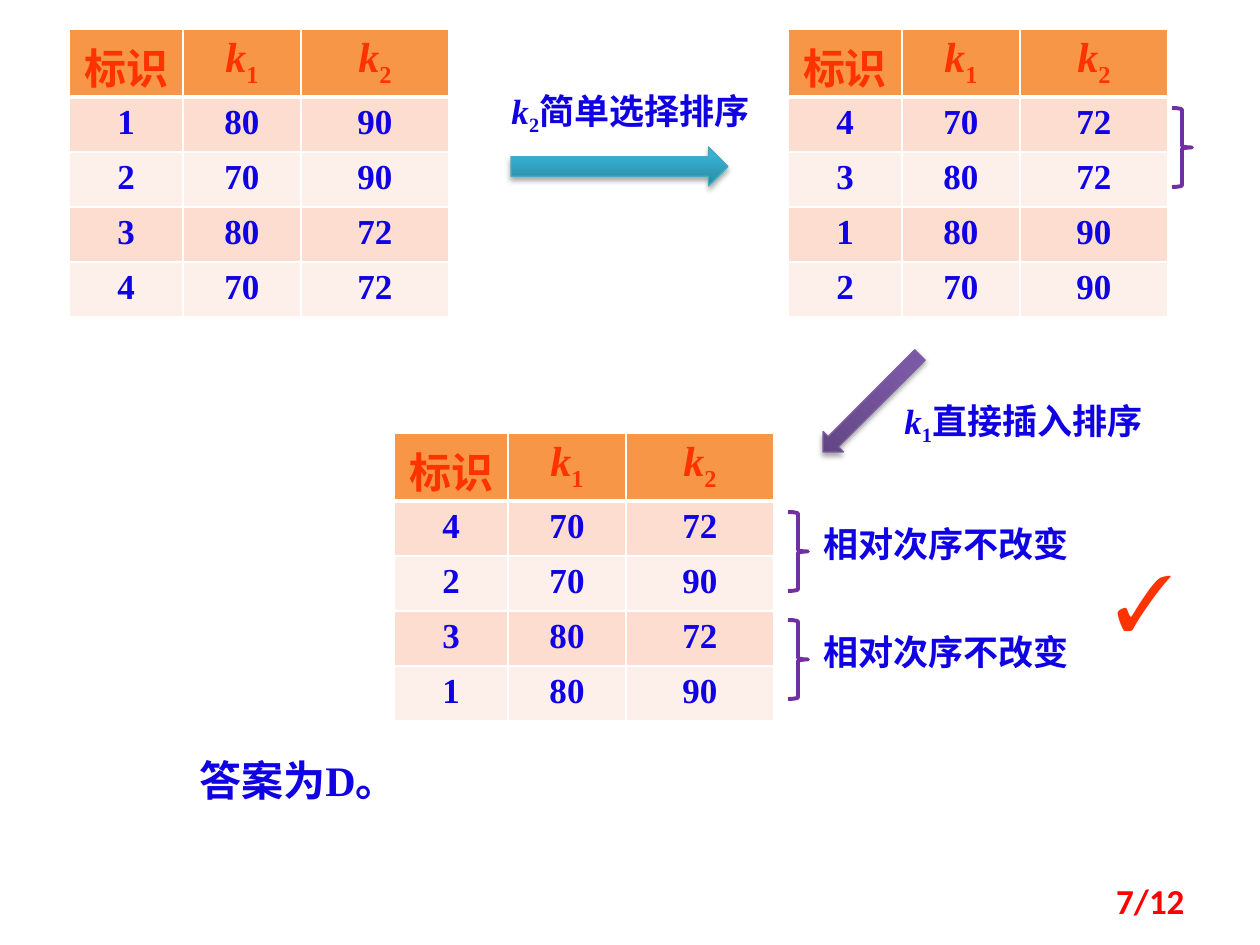
from lxml.etree import SubElement
from pptx import Presentation
from pptx.dml.color import RGBColor
from pptx.enum.shapes import MSO_SHAPE as SHAPE
from pptx.enum.text import MSO_ANCHOR as ANCHOR, PP_ALIGN as ALIGN
from pptx.oxml.ns import qn
from pptx.util import Pt

EMU_PER_PX = 914400 / 126
SERIF, CJK, SANS = "Times New Roman", "Noto Sans CJK SC", "Calibri"
BLUE, RED, PURPLE, WHITE = "1000E4", "FF3300", "7030A0", "FFFFFF"
HEADER_FILL, BANDS = "F79646", ("FCDDCF", "FDEFE9")
COLUMN_WIDTHS = (114, 118, 148)
HEADER_HEIGHT, ROW_HEIGHT = 68, 55
RECORDS = {1: (80, 90), 2: (70, 90), 3: (80, 72), 4: (70, 72)}


def px(*lengths):
    """Turn pixel lengths into EMU."""
    return [round(length * EMU_PER_PX) for length in lengths]


def color(value):
    """Turn a hex string into a colour."""
    return RGBColor.from_string(value)


def write(paragraph, text, size, ink, font=SERIF, align=ALIGN.CENTER):
    """Write bold text in one paragraph."""
    paragraph.alignment = align
    add_run(paragraph, text, size, ink, font)


def add_run(paragraph, text, size, ink, font=SERIF):
    """Add one bold run and return it."""
    run = paragraph.add_run()
    run.text = text
    run.font.size, run.font.bold, run.font.name = Pt(size), True, font
    run.font.color.rgb = color(ink)
    SubElement(run._r.get_or_add_rPr(), qn("a:ea")).set("typeface", CJK)
    return run


def write_key(paragraph, index, size, ink, tail=""):
    """Write an italic k with a subscript, and the words after it."""
    paragraph.alignment = ALIGN.CENTER
    add_run(paragraph, "k", size, ink).font.italic = True
    subscript = add_run(paragraph, index, size, ink)
    subscript._r.get_or_add_rPr().set("baseline", "-25000")
    if tail:
        add_run(paragraph, tail, size, ink)


def text_box(slide, box, anchor=ANCHOR.TOP):
    """Add a wrapping text box and return its first paragraph."""
    frame = slide.shapes.add_textbox(*px(*box)).text_frame
    frame.word_wrap = True
    frame.vertical_anchor = anchor
    return frame.paragraphs[0]


def style_cell(cell, fill, bottom=1):
    """Give a cell its white borders and its fill."""
    properties = cell._tc.get_or_add_tcPr()
    for side, width in (("L", 1), ("R", 1), ("T", 1), ("B", bottom)):
        line = SubElement(properties, qn(f"a:ln{side}"), w=str(Pt(width)))
        solid = SubElement(line, qn("a:solidFill"))
        SubElement(solid, qn("a:srgbClr"), val=WHITE)
    cell.fill.solid()
    cell.fill.fore_color.rgb = color(fill)


def record_table(slide, left, top, order):
    """Draw the records in the given order of their identifiers."""
    height = HEADER_HEIGHT + ROW_HEIGHT * len(order)
    box = px(left, top, sum(COLUMN_WIDTHS), height)
    table = slide.shapes.add_table(len(order) + 1, len(COLUMN_WIDTHS), *box).table
    for column, width in zip(table.columns, px(*COLUMN_WIDTHS)):
        column.width = width
    for row, height in zip(table.rows, px(HEADER_HEIGHT, *[ROW_HEIGHT] * len(order))):
        row.height = height

    for index in range(len(COLUMN_WIDTHS)):
        cell = table.cell(0, index)
        cell.margin_bottom = 0
        style_cell(cell, HEADER_FILL, bottom=3)
        heading = cell.text_frame.paragraphs[0]
        if index:
            write_key(heading, str(index), 24, RED)
        else:
            write(heading, "标识", 24, RED)

    for row, identifier in enumerate(order, start=1):
        for index, value in enumerate((identifier, *RECORDS[identifier])):
            cell = table.cell(row, index)
            style_cell(cell, BANDS[(row - 1) % 2])
            write(cell.text_frame.paragraphs[0], str(value), 20, BLUE)


def step_arrow(slide, kind, box, dark, light, outline, rotation=0):
    """Draw a shaded block arrow with a soft shadow."""
    arrow = slide.shapes.add_shape(kind, *px(*box))
    arrow.rotation = rotation
    arrow.fill.gradient()
    arrow.fill.gradient_angle = 90
    for stop, shade, position in zip(arrow.fill.gradient_stops, (dark, light), (0, 0.8)):
        stop.color.rgb = color(shade)
        stop.position = position
    arrow.line.color.rgb = color(outline)
    arrow.line.width = Pt(0.75)
    arrow.shadow.inherit = False
    effects = arrow._element.spPr.find(qn("a:effectLst"))
    shadow = SubElement(effects, qn("a:outerShdw"), blurRad=str(Pt(3.1)),
                        dist=str(Pt(1.8)), dir="5400000", rotWithShape="0")
    shade = SubElement(shadow, qn("a:srgbClr"), val="000000")
    SubElement(shade, qn("a:alpha"), val="35000")


def tie_brace(slide, left, top, note=""):
    """Brace two equal records, with an optional note beside them."""
    brace = slide.shapes.add_shape(SHAPE.RIGHT_BRACE, *px(left, top, 20, 79))
    brace.fill.background()
    brace.line.color.rgb = color(PURPLE)
    brace.line.width = Pt(2.25)
    brace.shadow.inherit = False
    if note:
        write(text_box(slide, (left + 20, top + 4, 276, 55)), note, 20, BLUE, CJK)


def sorting_slide(presentation):
    """Build the slide that sorts records by two keys."""
    slide = presentation.slides.add_slide(presentation.slide_layouts[6])
    write(text_box(slide, (187, 748, 266, 63)), "答案为D。", 24, BLUE, align=ALIGN.LEFT)

    for left, top, order in ((69, 29, (1, 2, 3, 4)),
                             (788, 29, (4, 3, 1, 2)),
                             (394, 433, (4, 2, 3, 1))):
        record_table(slide, left, top, order)

    step_arrow(slide, SHAPE.RIGHT_ARROW, (511, 147, 217, 39),
               "2A88A2", "37B1D2", "46AAC5")
    step_arrow(slide, SHAPE.DOWN_ARROW, (857, 335, 29, 137),
               "5F4480", "7B58A6", "7D60A0", rotation=45)
    for left, top, index, method in ((483, 83, "2", "简单选择排序"),
                                     (876, 393, "1", "直接插入排序")):
        write_key(text_box(slide, (left, top, 295, 55)), index, 20, BLUE, method)

    tie_brace(slide, 1172, 108)
    for top in (512, 620):
        tie_brace(slide, 788, top, "相对次序不改变")

    write(text_box(slide, (1103, 547, 79, 106)), "✓", 44, RED, align=ALIGN.LEFT)
    write(text_box(slide, (903, 876, 294, 50), ANCHOR.MIDDLE), "7/12", 20,
          "FF0000", SANS, ALIGN.RIGHT)


presentation = Presentation()
presentation.slide_width, presentation.slide_height = px(1260, 945)
sorting_slide(presentation)
presentation.save("out.pptx")
